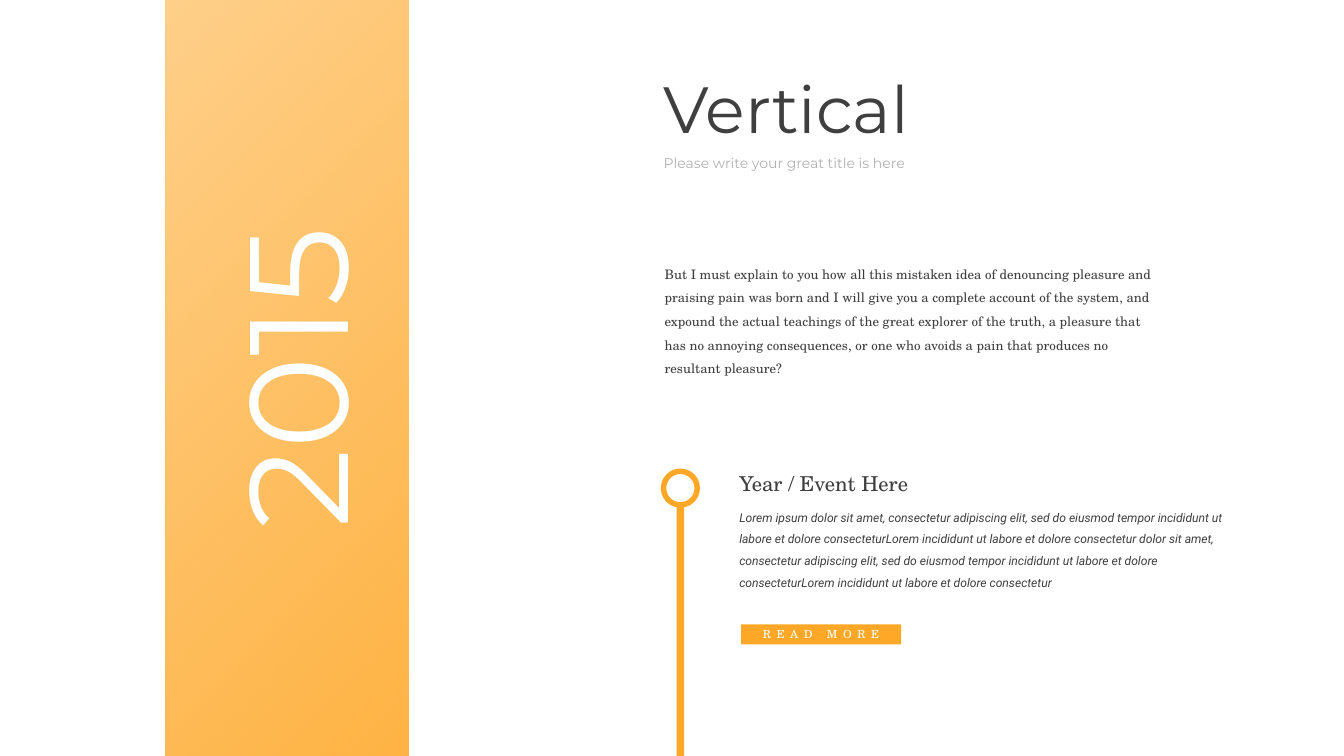
import pptx
import pptx.util
import pptx.dml.color
import pptx.enum.shapes
import pptx.enum.text
import pptx.oxml.ns
import lxml.etree

Pt = pptx.util.Pt
SHAPE = pptx.enum.shapes.MSO_SHAPE
ALIGN = pptx.enum.text.PP_ALIGN
ORANGE, DARK, GRAY, WHITE = "FFA827", "3F3F3F", "B2B2B2", "FFFFFF"
SERIF, SANS, BODY = "TeX Gyre Schola", "Montserrat", "Roboto"


def rgb(value):
    return pptx.dml.color.RGBColor.from_string(value)


def write(sp, text, size, font, color, align=ALIGN.LEFT, spacing=None):
    tf = sp.text_frame
    tf.word_wrap = True
    p = tf.paragraphs[0]
    p.text = text
    p.alignment = align
    p.line_spacing = spacing
    p.font.size = Pt(size)
    p.font.name = font
    p.font.color.rgb = rgb(color)
    return p


prs = pptx.Presentation()
prs.slide_width = Pt(1440)
prs.slide_height = Pt(810)
s = prs.slides.add_slide(prs.slide_layouts[6])

shapes = {}
for name, kind, x, y, w, h in [
    ("band", SHAPE.RECTANGLE, 177, 0, 261, 810),
    ("stem", SHAPE.RECTANGLE, 725, 543, 8, 267),
    ("ring", SHAPE.DONUT, 708, 502, 42, 42),
    ("button", SHAPE.RECTANGLE, 794, 669, 171.5, 21.5),
]:
    sp = s.shapes.add_shape(kind, Pt(x), Pt(y), Pt(w), Pt(h))
    sp.shadow.inherit = False
    sp.line.fill.background()
    sp.fill.solid()
    sp.fill.fore_color.rgb = rgb(ORANGE)
    shapes[name] = sp

shapes["ring"].adjustments[0] = 0.14

fill = shapes["band"].fill
fill.gradient()
fill.gradient_angle = 315
for stop, position, alpha in zip(fill.gradient_stops, (0, 1), (54, 87)):
    stop.position = position
    stop.color.rgb = rgb(ORANGE)
for clr, alpha in zip(shapes["band"].element.spPr.iter(pptx.oxml.ns.qn("a:srgbClr")), (54, 87)):
    lxml.etree.SubElement(clr, pptx.oxml.ns.qn("a:alpha")).set("val", str(alpha * 1000))

p = write(shapes["button"], "READ MORE", 12, SERIF, WHITE, ALIGN.CENTER)
p.runs[0].font.bold = False
p.runs[0].font.element.set("spc", "600") if hasattr(p.runs[0].font, "element") else p.runs[0]._r.get_or_add_rPr().set("spc", "600")

sp = s.shapes.add_textbox(Pt(56), Pt(310.5), Pt(517), Pt(189))
sp.rotation = 270
write(sp, "2015", 150, SANS, WHITE, ALIGN.CENTER)

for x, y, w, h, text, size, font, color, spacing, italic in [
    (704, 70, 372, 92, "Vertical", 70, SANS, DARK, None, False),
    (704, 162.5, 333, 25, "Please write your great title is here", 15, SANS, GRAY, None, False),
    (705, 273.5, 547, 135,
     "But I must explain to you how all this mistaken idea of denouncing pleasure and praising pain "
     "was born and I will give you a complete account of the system, and expound the actual teachings "
     "of the great explorer of the truth, a pleasure that has no annoying consequences, or one who "
     "avoids a pain that produces no resultant pleasure?",
     14, SERIF, DARK, 1.5, False),
    (785, 501, 219, 34, "Year / Event Here", 22, SERIF, DARK, None, False),
    (785, 535, 543, 149,
     "Lorem ipsum dolor sit amet, consectetur adipiscing elit, sed do eiusmod tempor incididunt ut "
     "labore et dolore consecteturLorem incididunt ut labore et dolore consectetur dolor sit amet, "
     "consectetur adipiscing elit, sed do eiusmod tempor incididunt ut labore et dolore "
     "consecteturLorem incididunt ut labore et dolore consectetur",
     13, BODY, DARK, 1.5, True),
]:
    sp = s.shapes.add_textbox(Pt(x), Pt(y), Pt(w), Pt(h))
    p = write(sp, text, size, font, color, spacing=spacing)
    p.font.italic = italic

prs.save("out.pptx")
